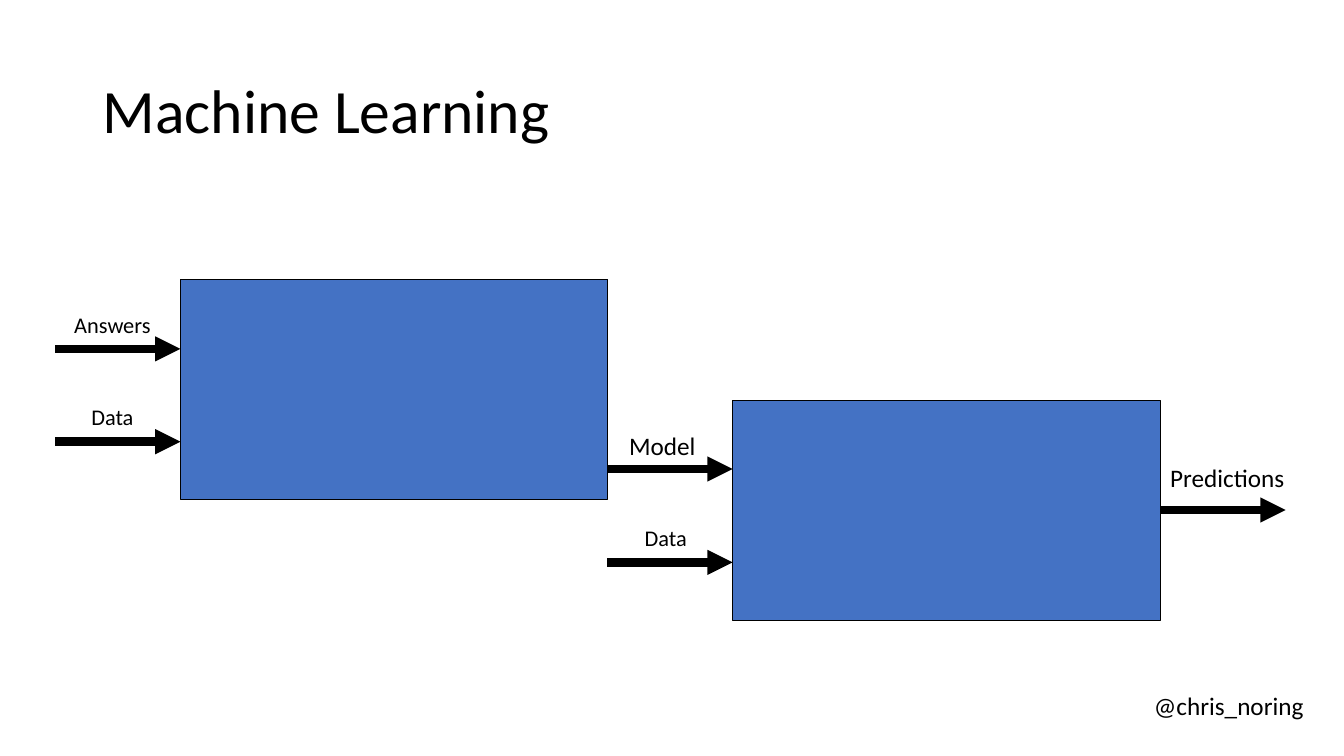
from lxml import etree
from pptx import Presentation
from pptx.dml.color import RGBColor
from pptx.enum import shapes, text
from pptx.oxml import ns
from pptx.util import Pt

BLACK, BLUE = "000000", "4472C4"
FONT = "Calibri"
LEFT, CENTER = text.PP_ALIGN.LEFT, text.PP_ALIGN.CENTER

BOX_WIDTH, BOX_HEIGHT = 305.3, 157
ARROW_LENGTH = 89.6
TRAINING = (128.9, 199.4)
INFERENCE = (523.4, 285.8)

# Wording, left, top, width, height, size, alignment
LABELS = [
    ("Answers", 38.9, 222.5, 82.8, 19.4, 16, CENTER),
    ("Data", 61.2, 288, 38.2, 19.4, 16, CENTER),
    ("Model", 449.3, 307.4, 58.3, 21.6, 18, LEFT),
    ("Data", 456.5, 374.4, 38.2, 19.4, 16, CENTER),
    ("Predictions", 835.9, 330.5, 105.1, 21.6, 18, LEFT),
]
# Box that each arrow enters, and height of the arrow on the slide
INPUTS = [
    (TRAINING, 249.2),
    (TRAINING, 315.5),
    (INFERENCE, 335),
    (INFERENCE, 401.7),
]


def color(hex_code):
    return RGBColor.from_string(hex_code)


def add_text(slide, wording, left, top, width, height, size,
             align=LEFT, spacing=1.0, **frame_format):
    box = slide.shapes.add_textbox(Pt(left), Pt(top), Pt(width), Pt(height))
    for name, value in {"word_wrap": True, **frame_format}.items():
        setattr(box.text_frame, name, value)
    paragraph = box.text_frame.paragraphs[0]
    paragraph.alignment, paragraph.line_spacing = align, spacing
    run = paragraph.add_run()
    run.text = wording
    for name, value in {"name": FONT, "size": Pt(size)}.items():
        setattr(run.font, name, value)
    run.font.color.rgb = color(BLACK)


def add_box(slide, left, top):
    box = slide.shapes.add_shape(shapes.MSO_SHAPE.RECTANGLE, Pt(left), Pt(top),
                                 Pt(BOX_WIDTH), Pt(BOX_HEIGHT))
    box.shadow.inherit = False
    box.fill.solid()
    box.fill.fore_color.rgb = color(BLUE)
    box.line.color.rgb = color(BLACK)
    box.line.width = Pt(0.5)
    return box


def add_arrow(slide, left, y):
    arrow = slide.shapes.add_connector(shapes.MSO_CONNECTOR.STRAIGHT, Pt(left), Pt(y),
                                       Pt(left + ARROW_LENGTH), Pt(y))
    arrow.line.color.rgb = color(BLACK)
    arrow.line.width = Pt(6)
    properties = arrow.element.spPr
    line = properties.find(ns.qn("a:ln"))
    etree.SubElement(line, ns.qn("a:tailEnd"), type="triangle")
    etree.SubElement(properties, ns.qn("a:effectLst"))
    return arrow


def main():
    deck = Presentation()
    deck.slide_width, deck.slide_height = Pt(960), Pt(540)
    slide = deck.slides.add_slide(deck.slide_layouts[6])

    add_text(slide, "Machine Learning", 66.2, 28.8, 828, 104.4, 44, spacing=0.9,
             vertical_anchor=text.MSO_ANCHOR.MIDDLE)

    add_box(slide, *TRAINING)
    inference = add_box(slide, *INFERENCE)
    for (box_left, _), y in INPUTS:
        add_arrow(slide, box_left - ARROW_LENGTH, y)
    output = add_arrow(slide, INFERENCE[0] + BOX_WIDTH, INFERENCE[1] + BOX_HEIGHT / 2)
    output.begin_connect(inference, 3)

    sides = ("left", "top", "right", "bottom")
    no_margins = {f"margin_{side}": 0 for side in sides}
    grow = {"auto_size": text.MSO_AUTO_SIZE.SHAPE_TO_FIT_TEXT}
    for label in LABELS:
        add_text(slide, *label, **no_margins, **grow)
    add_text(slide, "@chris_noring", 817.2, 489.6, 122.4, 28.8, 18,
             word_wrap=False, **grow)

    deck.save("out.pptx")


if __name__ == "__main__":
    main()
